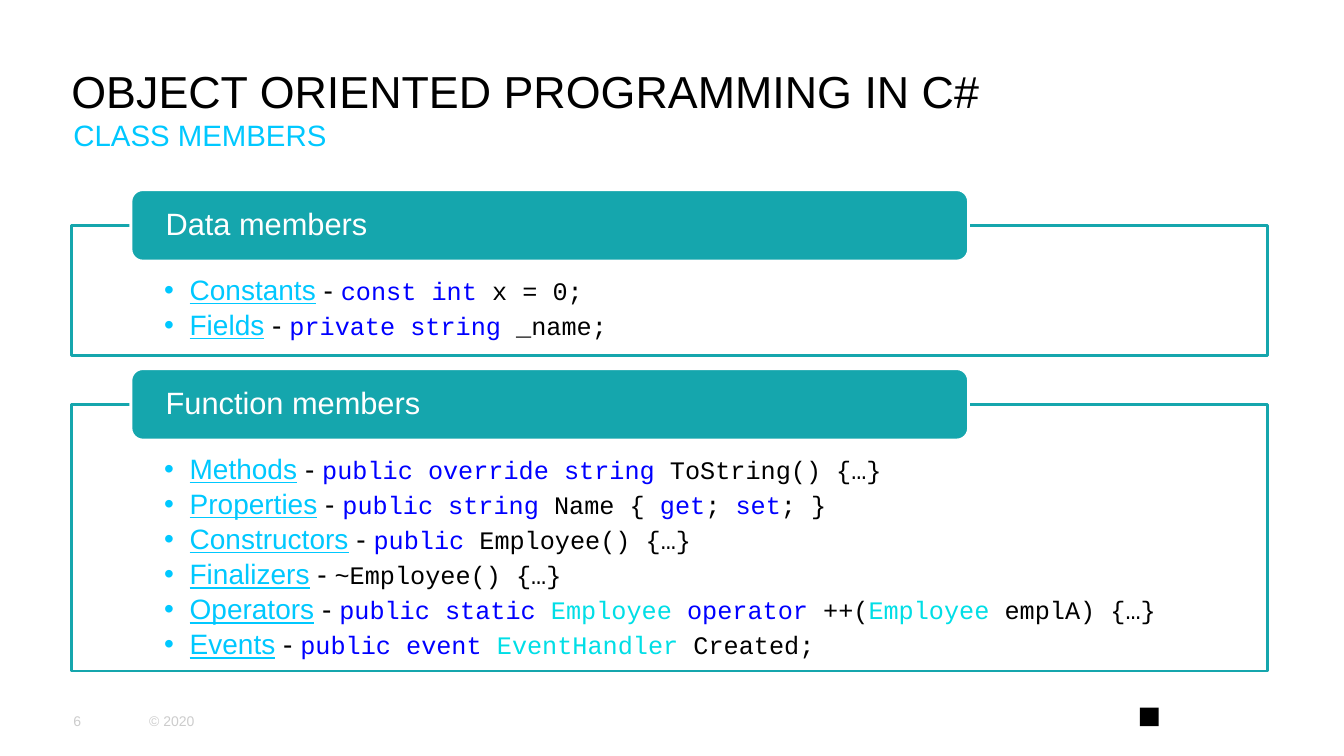
from lxml.etree import SubElement
from pptx import Presentation
from pptx.dml.color import RGBColor
from pptx.enum.shapes import MSO_SHAPE
from pptx.enum.text import MSO_ANCHOR, PP_ALIGN
from pptx.oxml.ns import qn
from pptx.util import Cm, Pt

BLACK = RGBColor(0x00, 0x00, 0x00)
WHITE = RGBColor(0xFF, 0xFF, 0xFF)
GREY = RGBColor(0xCC, 0xCC, 0xCC)
TEAL = RGBColor(0x15, 0xA6, 0xAD)
SKY = RGBColor(0x00, 0xC8, 0xFF)
KEYWORD = RGBColor(0x00, 0x00, 0xFF)
TYPE = RGBColor(0x00, 0xDE, 0xE6)

# Content: each member has a name and its code as (text, colour) pieces
TITLE = "OBJECT ORIENTED PROGRAMMING IN C#"
SUBTITLE = "CLASS MEMBERS"
PAGE_NUMBER = "6"
COPYRIGHT = "© 2020"
SECTIONS = [
    ("Data members", [
        ("Constants", [("const int ", KEYWORD), ("x = 0;", BLACK)]),
        ("Fields", [("private string ", KEYWORD), ("_name;", BLACK)]),
    ]),
    ("Function members", [
        ("Methods", [("public override string ", KEYWORD), ("ToString() {…}", BLACK)]),
        ("Properties", [("public string ", KEYWORD), ("Name { ", BLACK), ("get", KEYWORD),
                        ("; ", BLACK), ("set", KEYWORD), ("; }", BLACK)]),
        ("Constructors", [("public", KEYWORD), (" Employee() {…}", BLACK)]),
        ("Finalizers", [("~Employee() {…}", BLACK)]),
        ("Operators", [("public static ", KEYWORD), ("Employee ", TYPE), ("operator", KEYWORD),
                       (" ++(", BLACK), ("Employee ", TYPE), ("emplA) {…}", BLACK)]),
        ("Events", [("public event ", KEYWORD), ("EventHandler ", TYPE), ("Created;", BLACK)]),
    ]),
]

# Layout in centimetres
FRAME_LEFT, FRAME_WIDTH = 1.8, 30.15
FRAME_PADDING, LINE_PITCH = 1.55, 0.86
HEADER_LEFT, HEADER_WIDTH, HEADER_HEIGHT = 3.3, 21.11, 1.8
HEADER_RISE = 0.91
SECTIONS_TOP, SECTION_GAP = 4.78, 0.33

deck = Presentation()
deck.slide_width, deck.slide_height = Cm(33.87), Cm(19.05)
slide = deck.slides.add_slide(deck.slide_layouts[6])


def write(paragraph, text, *, size, color, font="Arial", underline=False):
    run = paragraph.add_run()
    run.text = text
    run.font.size = Pt(size)
    run.font.name = font
    run.font.color.rgb = color
    run.font.underline = underline


def prepare(shape, anchor, left=0, top=0, right=0, bottom=0):
    frame = shape.text_frame
    frame.word_wrap = True
    frame.vertical_anchor = anchor
    frame.margin_left, frame.margin_top = Cm(left), Cm(top)
    frame.margin_right, frame.margin_bottom = Cm(right), Cm(bottom)
    frame.paragraphs[0].alignment = PP_ALIGN.LEFT
    return frame


def add_label(text, box, anchor, **text_format):
    label = slide.shapes.add_textbox(*map(Cm, box))
    write(prepare(label, anchor).paragraphs[0], text, **text_format)


def add_block(kind, box, fill, line=None):
    block = slide.shapes.add_shape(kind, *map(Cm, box))
    block.shadow.inherit = False
    block.fill.solid()
    block.fill.fore_color.rgb = fill
    if line is None:
        block.line.fill.background()
    else:
        block.line.color.rgb = line
        block.line.width = Pt(2)
    return block


def add_bullet(paragraph):
    properties = paragraph._p.get_or_add_pPr()
    properties.set("marL", str(Cm(0.64)))
    properties.set("indent", str(-Cm(0.64)))
    SubElement(properties, qn("a:buFont"), typeface="Arial")
    SubElement(properties, qn("a:buChar"), char="•")


def add_section(heading, members, top):
    """Draw one framed section and return its bottom edge."""
    frame_top = top + HEADER_RISE
    frame_height = FRAME_PADDING + LINE_PITCH * len(members)
    panel = add_block(MSO_SHAPE.RECTANGLE,
                      (FRAME_LEFT, frame_top, FRAME_WIDTH, frame_height), WHITE, TEAL)
    color = panel.fill._xPr.find(qn("a:solidFill"))[0]
    SubElement(color, qn("a:alpha"), val="90000")

    # Member list
    body = prepare(panel, MSO_ANCHOR.TOP, 2.34, 1.27, 2.34, 0.41)
    for index, (name, code) in enumerate(members):
        line = body.add_paragraph() if index else body.paragraphs[0]
        line.alignment = PP_ALIGN.LEFT
        line.line_spacing = 0.9
        line.space_after = Pt(3.5)
        add_bullet(line)
        write(line, name, size=20, color=SKY, underline=True)
        write(line, " - ", size=20, color=BLACK)
        for text, code_color in code:
            write(line, text, size=18, color=code_color, font="Courier New")

    # Heading tab
    tab = add_block(MSO_SHAPE.ROUNDED_RECTANGLE,
                    (HEADER_LEFT, top, HEADER_WIDTH, HEADER_HEIGHT), TEAL, WHITE)
    caption = prepare(tab, MSO_ANCHOR.MIDDLE, left=0.79, right=0.79).paragraphs[0]
    caption.line_spacing = 0.9
    write(caption, heading, size=22, color=WHITE)
    return frame_top + frame_height


# Title and subtitle
add_label(TITLE, (1.8, 0.03, 30.23, 2.92), MSO_ANCHOR.BOTTOM, size=32, color=BLACK)
add_label(SUBTITLE, (1.85, 2.95, 30.15, 1.12), MSO_ANCHOR.TOP, size=21, color=SKY)

# Sections
section_top = SECTIONS_TOP
for heading, members in SECTIONS:
    section_top = add_section(heading, members, section_top) + SECTION_GAP

# Footer
add_label(PAGE_NUMBER, (1.85, 17.65, 1.88, 1.02), MSO_ANCHOR.MIDDLE, size=10, color=GREY)
add_label(COPYRIGHT, (3.76, 17.65, 2.74, 1.02), MSO_ANCHOR.MIDDLE, size=10, color=GREY)
add_block(MSO_SHAPE.RECTANGLE, (28.73, 17.83, 0.47, 0.47), BLACK)

deck.save("out.pptx")
